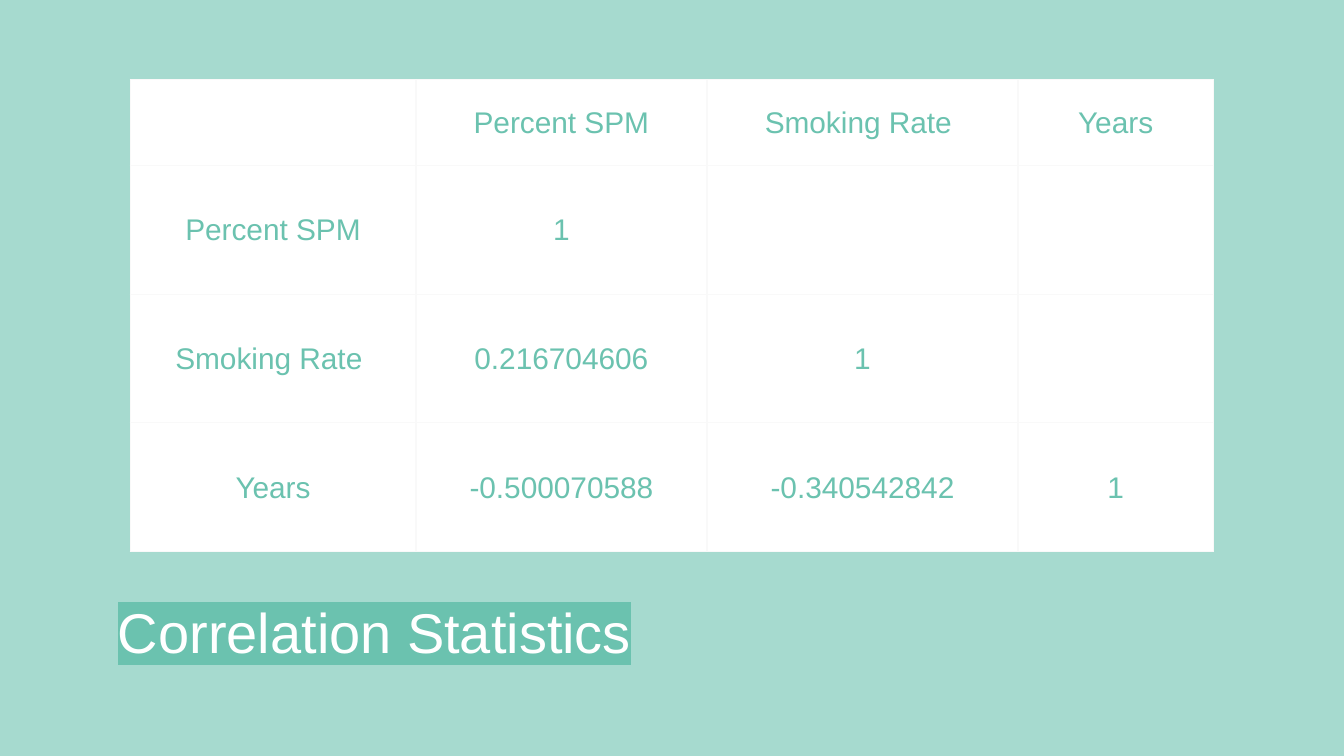
from lxml import etree
from pptx import Presentation
from pptx.dml.color import RGBColor
from pptx.enum.shapes import MSO_SHAPE
from pptx.enum.text import MSO_ANCHOR, MSO_AUTO_SIZE, PP_ALIGN
from pptx.oxml.ns import qn
from pptx.util import Cm, Pt

RECTANGLE = MSO_SHAPE.RECTANGLE
MIDDLE, BOTTOM = MSO_ANCHOR.MIDDLE, MSO_ANCHOR.BOTTOM
LEFT, CENTER = PP_ALIGN.LEFT, PP_ALIGN.CENTER
NO_AUTOFIT = MSO_AUTO_SIZE.NONE
FONT = "Arial"
GREEN, WHITE, GRID = "6BC2AF", "FFFFFF", "F9F9F9"


def rgb(value):
    return RGBColor.from_string(value)


def format_run(r, size, color):
    r.font.name = FONT
    r.font.size = Pt(size)
    r.font.bold = False
    r.font.color.rgb = rgb(color)


prs = Presentation()
prs.slide_width, prs.slide_height = Cm(25.4), Cm(14.29)
s = prs.slides.add_slide(prs.slide_layouts[5])

# Green tint over the whole slide, behind everything
sp = s.shapes.add_shape(RECTANGLE, 0, 0, prs.slide_width, prs.slide_height)
sp.shadow.inherit = False
sp.line.fill.background()
sp.fill.solid()
sp.fill.fore_color.rgb = rgb(GREEN)
color = sp.fill._xPr.find(".//" + qn("a:srgbClr"))
etree.SubElement(color, qn("a:alpha"), val="60000")
s.shapes._spTree.insert(2, sp._element)

# Title with highlighted text
title = s.shapes.title
title.left, title.top, title.width, title.height = Cm(1.98), Cm(11.07), Cm(21.44), Cm(1.73)
tf = title.text_frame
tf.text = "Correlation Statistics"
tf.word_wrap = True
tf.auto_size = NO_AUTOFIT
tf.vertical_anchor = BOTTOM
tf.margin_left = tf.margin_right = tf.margin_top = tf.margin_bottom = Cm(0.25)
p = tf.paragraphs[0]
p.alignment = LEFT
p.line_spacing = 0.8
r = p.runs[0]
format_run(r, 30, WHITE)
highlight = etree.Element(qn("a:highlight"))
etree.SubElement(highlight, qn("a:srgbClr"), val=GREEN)
r.font._element.find(qn("a:solidFill")).addnext(highlight)

# Correlation table
rows = [
    ["", "Percent SPM", "Smoking Rate ", "Years"],
    ["Percent SPM", "1", "", ""],
    ["Smoking Rate ", "0.216704606", "1", ""],
    ["Years", "-0.500070588", "-0.340542842", "1"],
]
col_widths = [5.4, 5.5, 5.88, 3.69]
row_heights = [1.63, 2.43, 2.43, 2.43]
table = s.shapes.add_table(len(rows), len(col_widths), Cm(2.46), Cm(1.5),
                           Cm(sum(col_widths)), Cm(sum(row_heights))).table
table.first_row = table.horz_banding = False
for col, width in zip(table.columns, col_widths):
    col.width = Cm(width)
for row, height in zip(table.rows, row_heights):
    row.height = Cm(height)

for i, values in enumerate(rows):
    for j, value in enumerate(values):
        cell = table.cell(i, j)
        cell.vertical_anchor = MIDDLE
        cell.margin_left = cell.margin_right = cell.margin_top = Cm(0.03)
        cell.margin_bottom = 0
        cell.fill.solid()
        cell.fill.fore_color.rgb = rgb(WHITE)
        cell.text = value
        p = cell.text_frame.paragraphs[0]
        p.alignment = CENTER
        for r in p.runs:
            format_run(r, 16, GREEN)

        # Thin grid lines go before the fill
        tcPr = cell._tc.get_or_add_tcPr()
        for k, side in enumerate(["lnL", "lnR", "lnT", "lnB"]):
            ln = etree.Element(qn("a:" + side), w=str(Pt(0.75)))
            fill = etree.SubElement(ln, qn("a:solidFill"))
            etree.SubElement(fill, qn("a:srgbClr"), val=GRID)
            tcPr.insert(k, ln)

prs.save("out.pptx")
